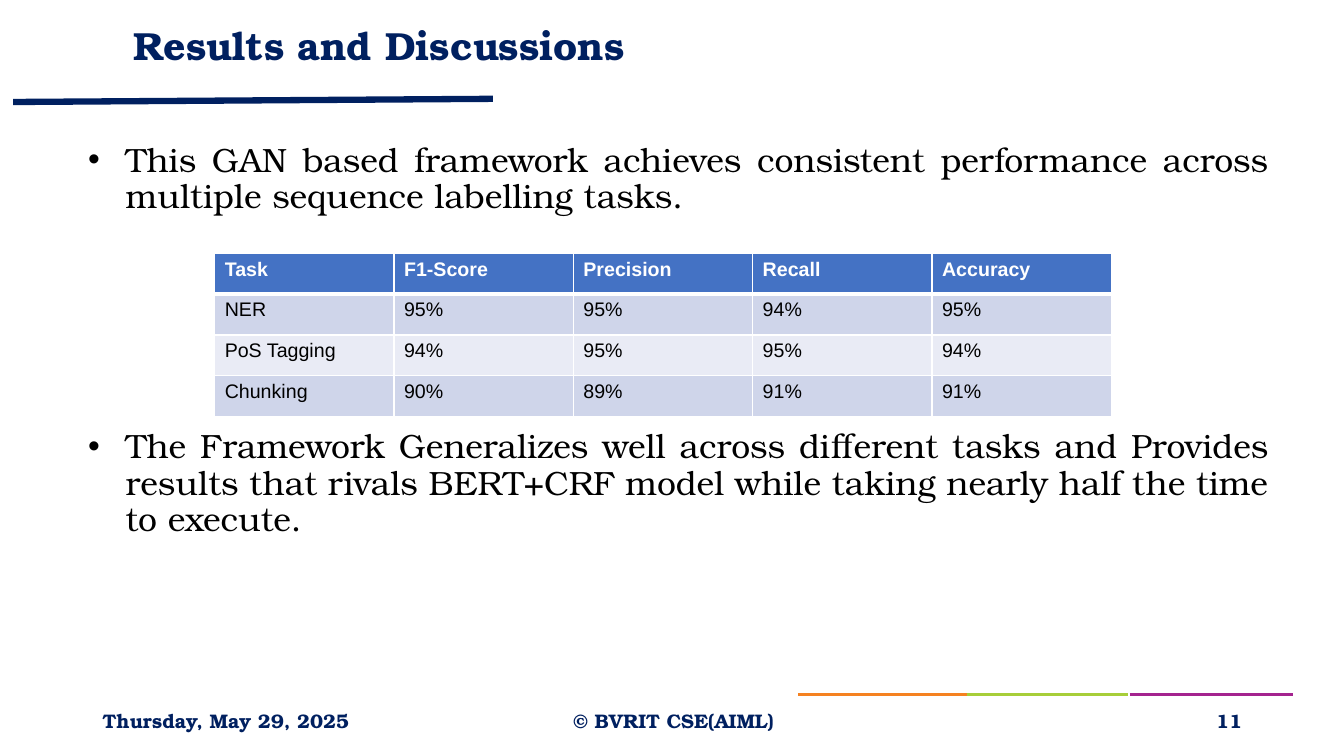
import pptx
import pptx.util
import pptx.dml.color
import pptx.enum.shapes
import pptx.enum.text
import pptx.oxml
import pptx.oxml.ns
from lxml import etree

Cm, Pt = pptx.util.Cm, pptx.util.Pt
Align = pptx.enum.text.PP_ALIGN
Anchor = pptx.enum.text.MSO_ANCHOR

COLORS = {
    "navy": "002060", "black": "000000", "white": "FFFFFF",
    "purple": "A4238F", "green": "A7CE39", "orange": "F58221",
    "header": "4472C4", "band_dark": "CFD5EA", "band_light": "E9EBF5",
}
SERIF, SANS = "TeX Gyre Bonum", "Arial"

RULES = [
    ((28.47, 17.5), (32.59, 17.5), "purple", 2.25),
    ((24.16, 17.5), (28.42, 17.5), "green", 2.25),
    ((20.12, 17.5), (24.38, 17.5), "orange", 2.25),
    ((0.33, 2.57), (12.42, 2.49), "navy", 4.5),
]
LABELS = [
    ("Results and Discussions", (3.12, 0.38, 27.13, 1.65), 28, Align.LEFT, 0.9),
    ("11", (23.93, 17.65, 7.62, 1.02), 14, Align.RIGHT, 1),
    ("Thursday, May 29, 2025", (2.34, 17.65, 7.62, 1.02), 14, Align.LEFT, 1),
    ("© BVRIT CSE(AIML)", (12.7, 17.6, 8.56, 1.12), 14, Align.CENTER, 1),
]
BODY_BOX = (1.65, 3.48, 30.56, 12.09)
BULLETS = [
    ("This GAN based framework achieves consistent performance across "
     "multiple sequence labelling tasks.", 0),
    ("The Framework Generalizes well across different tasks and Provides results "
     "that rivals BERT+CRF model while taking nearly half the time to execute.", 153),
]
SCORES = [
    ("Task", "F1-Score", "Precision", "Recall", "Accuracy"),
    ("NER", "95%", "95%", "94%", "95%"),
    ("PoS Tagging", "94%", "95%", "95%", "94%"),
    ("Chunking", "90%", "89%", "91%", "91%"),
]
TABLE_LEFT, TABLE_TOP = 5.41, 6.38
COLUMN_WIDTH, ROW_HEIGHT = 4.52, 1.03


def rgb(name):
    return pptx.dml.color.RGBColor.from_string(COLORS[name])


def add_run(paragraph, text, font_name, size, color, bold=False):
    run = paragraph.add_run()
    run.text = text
    run.font.name = font_name
    run.font.size = Pt(size)
    run.font.bold = bold
    run.font.color.rgb = rgb(color)


def add_text_frame(slide, box, anchor):
    frame = slide.shapes.add_textbox(*map(Cm, box)).text_frame
    frame.word_wrap = True
    frame.vertical_anchor = anchor
    return frame


def add_rule(slide, start, end, color, width):
    connector = slide.shapes.add_connector(
        pptx.enum.shapes.MSO_CONNECTOR.STRAIGHT, *map(Cm, start + end))
    connector.line.color.rgb = rgb(color)
    connector.line.width = Pt(width)
    properties = connector._element.spPr
    etree.SubElement(properties, pptx.oxml.ns.qn("a:effectLst"))


def add_label(slide, text, box, size, alignment, spacing):
    paragraph = add_text_frame(slide, box, Anchor.MIDDLE).paragraphs[0]
    paragraph.alignment = alignment
    paragraph.line_spacing = spacing
    add_run(paragraph, text, SERIF, size, "navy", True)


def add_bullets(slide):
    frame = add_text_frame(slide, BODY_BOX, Anchor.TOP)
    for index, (text, space_before) in enumerate(BULLETS):
        paragraph = frame.add_paragraph() if index else frame.paragraphs[0]
        paragraph.alignment = Align.JUSTIFY
        paragraph.line_spacing = 0.9
        paragraph.space_before = Pt(space_before)
        properties = paragraph._p.get_or_add_pPr()
        properties.set("marL", str(Cm(1.27)))
        properties.set("indent", str(-Cm(0.95)))
        color = etree.SubElement(properties, pptx.oxml.ns.qn("a:buClr"))
        etree.SubElement(color, pptx.oxml.ns.qn("a:srgbClr"), val=COLORS["black"])
        etree.SubElement(properties, pptx.oxml.ns.qn("a:buFont"), typeface=SANS)
        etree.SubElement(properties, pptx.oxml.ns.qn("a:buChar"), char="•")
        add_run(paragraph, text, SERIF, 24, "black")


def set_borders(cell, widths):
    properties = cell._tc.get_or_add_tcPr()
    for position, (side, width) in enumerate(widths.items()):
        properties.insert(position, pptx.oxml.parse_xml(
            f'<a:{side} {pptx.oxml.ns.nsdecls("a")} w="{Pt(width)}"><a:solidFill>'
            f'<a:srgbClr val="{COLORS["white"]}"/></a:solidFill></a:{side}>'))


def add_scores(slide):
    rows, columns = len(SCORES), len(SCORES[0])
    table = slide.shapes.add_table(
        rows, columns, Cm(TABLE_LEFT), Cm(TABLE_TOP),
        Cm(COLUMN_WIDTH * columns), Cm(ROW_HEIGHT * rows)).table
    for column in table.columns:
        column.width = Cm(COLUMN_WIDTH)
    for row_index, values in enumerate(SCORES):
        table.rows[row_index].height = Cm(ROW_HEIGHT)
        is_header = row_index == 0
        band = "band_dark" if row_index % 2 else "band_light"
        for column_index, value in enumerate(values):
            cell = table.cell(row_index, column_index)
            cell.fill.solid()
            cell.fill.fore_color.rgb = rgb("header" if is_header else band)
            set_borders(cell, {"lnL": 1, "lnR": 1,
                               "lnT": 3 if row_index == 1 else 1,
                               "lnB": 3 if is_header else 1})
            add_run(cell.text_frame.paragraphs[0], value, SANS, 14,
                    "white" if is_header else "black", is_header)


def main():
    presentation = pptx.Presentation()
    presentation.slide_width = Cm(33.87)
    presentation.slide_height = Cm(19.05)
    slide = presentation.slides.add_slide(presentation.slide_layouts[6])
    for rule in RULES:
        add_rule(slide, *rule)
    add_bullets(slide)
    for label in LABELS:
        add_label(slide, *label)
    add_scores(slide)
    presentation.save("out.pptx")


if __name__ == "__main__":
    main()
